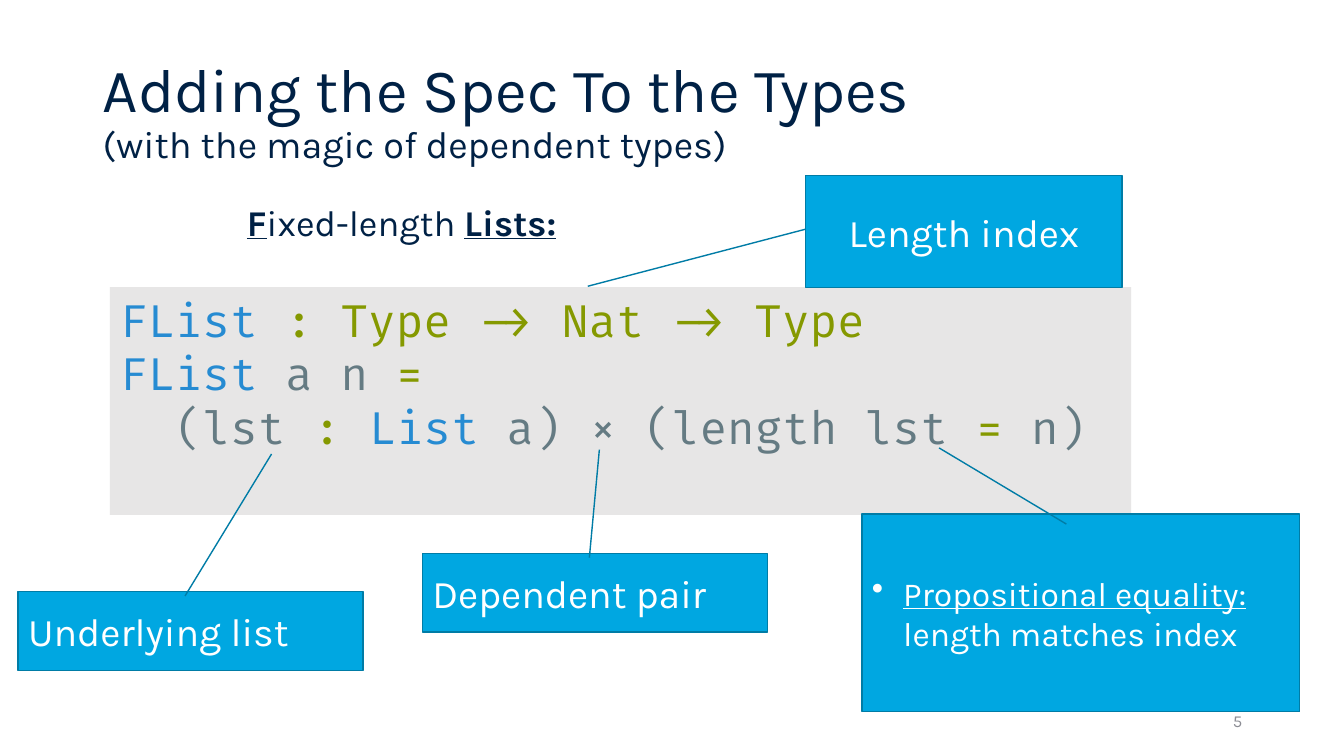
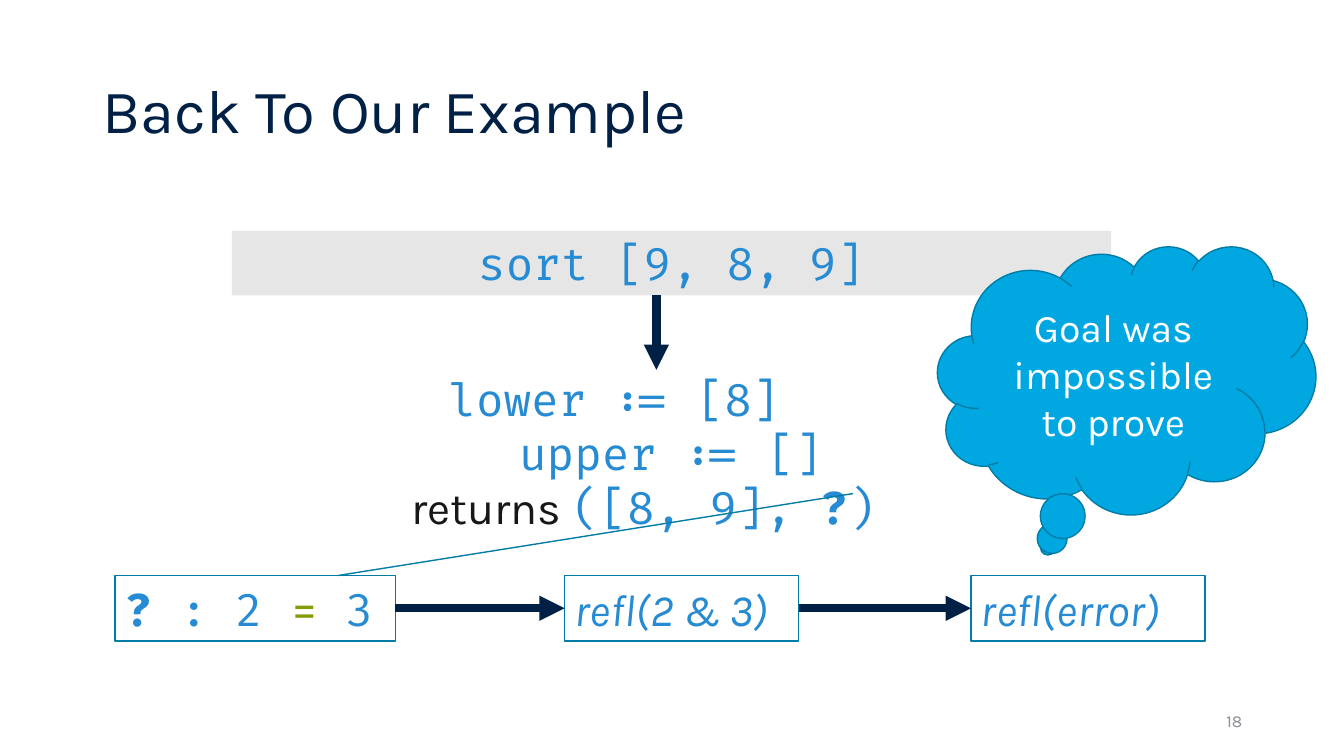
"""Build two slides on dependent types: fixed-length lists and a sorting example."""
from lxml import etree
from pptx import Presentation
from pptx.dml.color import RGBColor
from pptx.enum import shapes, text
from pptx.oxml import ns
from pptx.util import Inches, Pt

COLOURS = {
    "navy": "002145", "grey": "8C8D94", "panel": "E7E6E6", "sky": "00A7E1",
    "edge": "007CA6", "white": "FFFFFF", "black": "181717",
    "blue": "268BD2", "green": "859900", "slate": "657B83",
}
BODY, CODE = "Karla", "Fira Code"
SHAPE, ALIGN = shapes.MSO_SHAPE, text.PP_ALIGN
CENTER = ALIGN.CENTER


def add_box(page, at, paras, kind=None, fill=None, line=None, adjust=(), middle=True,
            align=ALIGN.LEFT, font=BODY, size=28, colour="white", spacing=None,
            before=0, indents=(), bullet=False):
    """Add a text box or shape; each paragraph is a list of (text, format) spans."""
    place = [Inches(value) for value in at]
    if kind is None:
        box = page.shapes.add_textbox(*place)
    else:
        box = page.shapes.add_shape(kind, *place)
        box.shadow.inherit = False
        for index, value in enumerate(adjust):
            box.adjustments[index] = value
        box.fill.solid()
        box.fill.fore_color.rgb = RGBColor.from_string(COLOURS[fill])
        if line:
            box.line.color.rgb = RGBColor.from_string(COLOURS[line])
            box.line.width = Pt(1)
        else:
            box.line.fill.background()
    frame = box.text_frame
    frame.word_wrap = True
    frame.vertical_anchor = text.MSO_ANCHOR.MIDDLE if middle else text.MSO_ANCHOR.TOP
    for index, spans in enumerate(paras):
        para = frame.paragraphs[0] if index == 0 else frame.add_paragraph()
        para.alignment = align
        para.space_before = Pt(before)
        if spacing:
            para.line_spacing = spacing
        properties = para._p.get_or_add_pPr()
        if indents:
            properties.set("marL", str(Inches(indents[index])))
        if bullet:
            properties.set("indent", str(-Inches(indents[index])))
            etree.SubElement(properties, ns.qn("a:buChar")).set("char", "•")
        for words, style in spans:
            span = para.add_run()
            span.text = words
            span.font.name = style.get("font", font)
            span.font.size = Pt(style.get("size", size))
            span.font.bold = style.get("bold", False)
            span.font.italic = style.get("italic", False)
            span.font.underline = style.get("underline", False)
            span.font.color.rgb = RGBColor.from_string(COLOURS[style.get("colour", colour)])
    return box


def add_arrow(page, start, end):
    """Add a thick arrow between two points."""
    arrow = page.shapes.add_connector(
        shapes.MSO_CONNECTOR.STRAIGHT, *[Inches(value) for value in start + end])
    arrow.line.color.rgb = RGBColor.from_string(COLOURS["navy"])
    arrow.line.width = Pt(6)
    etree.SubElement(arrow.line._get_or_add_ln(), ns.qn("a:tailEnd")).set("type", "triangle")
    etree.SubElement(arrow._element.spPr, ns.qn("a:effectLst"))
    return arrow


deck = Presentation()
deck.slide_width, deck.slide_height = Inches(13.33), Inches(7.5)

titles = [
    ("5", [[("Adding the Spec To the Types", {})],
           [("(with the magic of dependent types)", {"size": 27})]]),
    ("18", [[("Back To Our Example", {})]]),
]
pages = []
for number, title in titles:
    page = deck.slides.add_slide(deck.slide_layouts[6])
    add_box(page, (0.92, 0.4, 11.5, 1.45), title, size=44, colour="navy", spacing=0.9)
    add_box(page, (9.42, 6.95, 3, 0.4), [[(number, {})]], size=12, colour="grey",
            align=ALIGN.RIGHT)
    pages.append(page)
types_page, example_page = pages

blue, green, slate = [{"colour": name} for name in ("blue", "green", "slate")]
strong = {"bold": True, "underline": True}
callout = {"kind": SHAPE.LINE_CALLOUT_1, "fill": "sky", "line": "edge"}
panel = {"kind": SHAPE.RECTANGLE, "fill": "panel", "middle": False}
code = {"font": CODE, "size": 32, "colour": "blue"}

add_box(types_page, (1.09, 2.85, 10.13, 2.26), [
    [("FList ", blue), (": Type -> Nat -> Type", green)],
    [("FList", blue), (" a n ", slate), ("=", green)],
    [("(lst ", slate), (": ", green), ("List", blue), (" a) × (length lst ", slate),
     ("=", green), (" n)", slate)],
], indents=(0, 0, 0.55), **panel, **code)

add_box(types_page, (7.99, 1.74, 3.14, 1.11), [[("Length index", {})]],
        adjust=(0.481, 0, 0.991, -0.688), align=CENTER, **callout)
add_box(types_page, (4.19, 5.49, 3.42, 0.78), [[("Dependent pair", {})]],
        adjust=(-1.32, 0.513, 0.055, 0.484), **callout)
add_box(types_page, (8.55, 5.1, 4.34, 1.96),
        [[("Propositional equality: ", {"underline": True}), ("length matches index", {})]],
        adjust=(-0.335, 0.176, 0.051, 0.467), size=24, indents=(0.31,), bullet=True, **callout)
add_box(types_page, (2.35, 2.02, 3.69, 0.49),
        [[("F", strong), ("ixed-length ", {}), ("Lists:", strong)]],
        middle=False, size=25.9, colour="navy", spacing=0.8, before=10)
add_box(types_page, (0.18, 5.87, 3.42, 0.78), [[("Underlying list", {})]],
        adjust=(-1.752, 0.735, 0.055, 0.484), **callout)

add_box(example_page, (2.3, 2.29, 8.72, 0.64), [[("sort [9, 8, 9]", {})]],
        align=CENTER, **panel, **code)
add_box(example_page, (2.3, 3.64, 8.72, 1.72), [
    [("lower := [8]", {})],
    [("upper := []", {})],
    [("returns ", {"font": BODY, "colour": "black"}), ("([8, 9], ", {}),
     ("?", {"bold": True}), (")", {})],
], middle=False, indents=(2.05, 2.75, 1.68), **code)

step_top, step_height = 5.71, 0.65
step_middle = step_top + step_height / 2
add_box(example_page, (1.14, step_top, 2.78, step_height),
        [[("? ", {"bold": True}), (": 2 ", {}), ("=", green), (" 3", {})]],
        kind=SHAPE.LINE_CALLOUT_1, fill="white", line="edge",
        adjust=(0, 0.795, -1.251, 2.633), **code)
add_arrow(example_page, (6.51, 2.93), (6.51, 3.67))

previous = None
for left, words in ((5.6, "refl(2 & 3)"), (9.63, "refl(error)")):
    step = add_box(example_page, (left, step_top, 2.32, step_height),
                   [[(words, {"italic": True})]], kind=SHAPE.RECTANGLE,
                   fill="white", line="edge", size=32, colour="blue")
    arrow = add_arrow(example_page, (3.92, step_middle), (left, step_middle))
    if previous is not None:
        arrow.begin_connect(previous, 3)
    arrow.end_connect(step, 1)
    previous = step

add_box(example_page, (9.3, 2.44, 3.75, 2.66), [[("Goal was impossible to prove", {})]],
        kind=SHAPE.CLOUD_CALLOUT, fill="sky", line="edge", align=CENTER)

deck.save("out.pptx")
